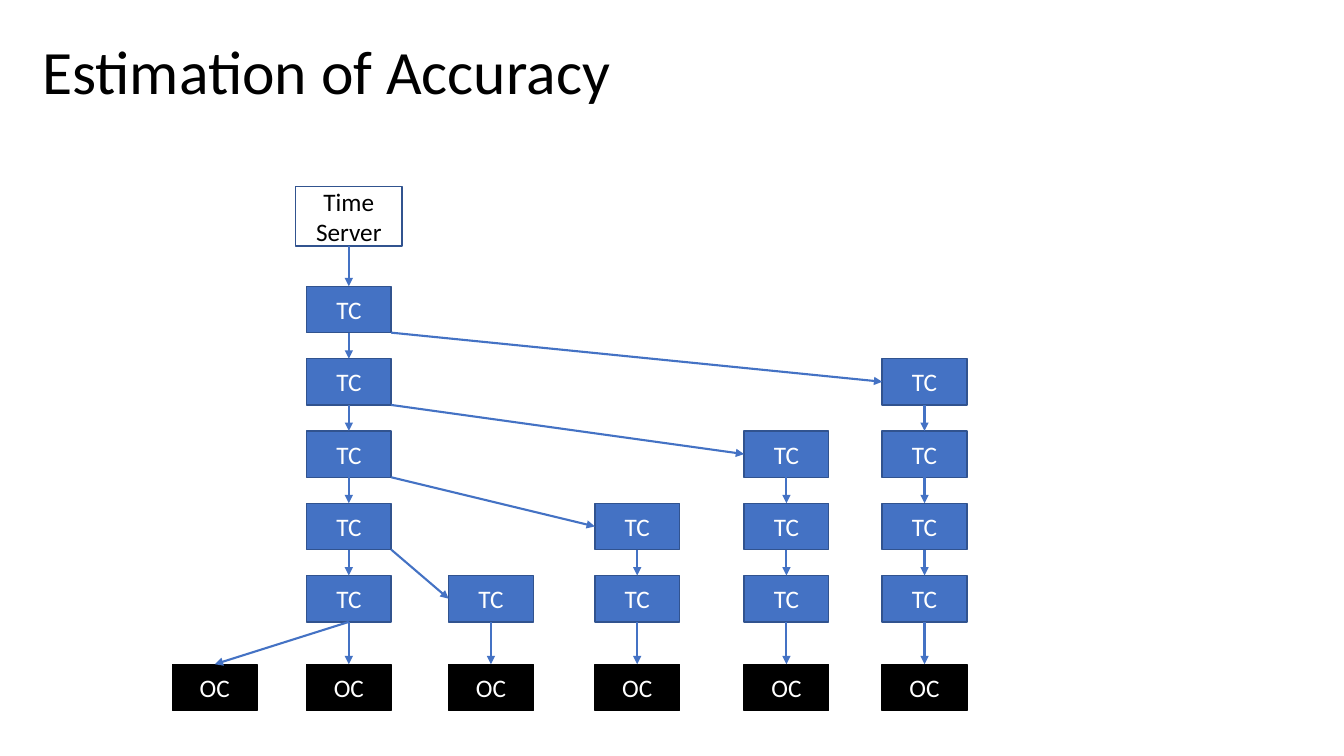
from dataclasses import dataclass
from typing import Optional

import pptx
import pptx.dml.color
import pptx.enum.shapes
import pptx.enum.text
import pptx.oxml
import pptx.oxml.ns
import pptx.util

Inches = pptx.util.Inches
Pt = pptx.util.Pt
RGBColor = pptx.dml.color.RGBColor

BLACK = RGBColor(0x00, 0x00, 0x00)
WHITE = RGBColor(0xFF, 0xFF, 0xFF)
BLUE = RGBColor(0x44, 0x72, 0xC4)
DARK_BLUE = RGBColor(0x31, 0x53, 0x8F)

# Clock grid: five rows of TC boxes above one row of OC boxes
CLOCK_WIDTH, CLOCK_HEIGHT = 0.84, 0.46
FIRST_ROW_TOP, LAST_ROW_TOP, OC_TOP = 2.84, 5.71, 6.59
ROW_COUNT = 5
ROW_PITCH = (LAST_ROW_TOP - FIRST_ROW_TOP) / (ROW_COUNT - 1)
TOP, LEFT, BOTTOM = 0, 1, 2


@dataclass(frozen=True)
class BoxStyle:
    fill: Optional[RGBColor]
    line: RGBColor
    text: RGBColor


@dataclass(frozen=True)
class ClockChain:
    left: float
    first_row: int


SERVER_STYLE = BoxStyle(None, DARK_BLUE, BLACK)
TC_STYLE = BoxStyle(BLUE, DARK_BLUE, WHITE)
OC_STYLE = BoxStyle(BLACK, BLACK, WHITE)

MAIN_CHAIN = ClockChain(3.04, 0)
BRANCH_CHAINS = [
    ClockChain(4.45, 4),
    ClockChain(5.9, 3),
    ClockChain(7.38, 2),
    ClockChain(8.75, 1),
]
EXTRA_OC_LEFT = 1.71


def set_attributes(target, values: dict) -> None:
    for name, value in values.items():
        setattr(target, name, value)


def write_text(shape, text: str, size: int, color: RGBColor, paragraph_format: dict) -> None:
    text_frame = shape.text_frame
    set_attributes(text_frame, {
        "word_wrap": True,
        "vertical_anchor": pptx.enum.text.MSO_ANCHOR.MIDDLE,
        "text": text,
    })
    paragraph = text_frame.paragraphs[0]
    set_attributes(paragraph, paragraph_format)
    set_attributes(paragraph.runs[0].font, {"name": "Calibri", "size": Pt(size)})
    paragraph.runs[0].font.color.rgb = color


def add_box(slide, text: str, left: float, top: float, style: BoxStyle,
            width: float = CLOCK_WIDTH, height: float = CLOCK_HEIGHT):
    shape = slide.shapes.add_shape(
        pptx.enum.shapes.MSO_SHAPE.RECTANGLE,
        Inches(left), Inches(top), Inches(width), Inches(height))
    shape.shadow.inherit = False
    if style.fill is None:
        shape.fill.background()
    else:
        shape.fill.solid()
        shape.fill.fore_color.rgb = style.fill
    shape.line.color.rgb = style.line
    shape.line.width = Pt(1)
    write_text(shape, text, 18, style.text,
               {"alignment": pptx.enum.text.PP_ALIGN.CENTER})
    return shape


def add_arrow(slide, start, end, end_site: int, from_corner: bool = False):
    """Join the bottom middle (or bottom right corner) of start to a side of end."""
    connector = slide.shapes.add_connector(
        pptx.enum.shapes.MSO_CONNECTOR.STRAIGHT,
        start.left + start.width, start.top + start.height, end.left, end.top)
    if not from_corner:
        connector.begin_connect(start, BOTTOM)
    connector.end_connect(end, end_site)
    connector.line.color.rgb = BLUE
    connector.line.width = Pt(1.5)
    line = connector.line._get_or_add_ln()
    arrowhead = pptx.oxml.parse_xml(
        f'<a:tailEnd {pptx.oxml.ns.nsdecls("a")} type="triangle"/>')
    line.append(arrowhead)
    line.addnext(pptx.oxml.parse_xml(f'<a:effectLst {pptx.oxml.ns.nsdecls("a")}/>'))


def add_chain(slide, chain: ClockChain) -> list:
    """Draw a column of TC boxes ending in an OC box, linked downwards."""
    boxes = [
        add_box(slide, "TC", chain.left, FIRST_ROW_TOP + row * ROW_PITCH, TC_STYLE)
        for row in range(chain.first_row, ROW_COUNT)
    ]
    boxes.append(add_box(slide, "OC", chain.left, OC_TOP, OC_STYLE))
    for upper, lower in zip(boxes, boxes[1:]):
        add_arrow(slide, upper, lower, TOP)
    return boxes


def main() -> None:
    presentation = pptx.Presentation()
    set_attributes(presentation, {
        "slide_width": Inches(13.33), "slide_height": Inches(7.5)})
    slide = presentation.slides.add_slide(presentation.slide_layouts[6])

    # Title
    title = slide.shapes.add_textbox(
        Inches(0.32), Inches(0.01), Inches(11.5), Inches(1.45))
    write_text(title, "Estimation of Accuracy", 44, BLACK, {"line_spacing": 0.9})

    # Time server and the main chain
    server = add_box(slide, "Time Server", 2.93, 1.85, SERVER_STYLE, 1.06, 0.59)
    main_boxes = add_chain(slide, MAIN_CHAIN)
    add_arrow(slide, server, main_boxes[0], TOP)

    # Extra OC below the last TC of the main chain
    extra_oc = add_box(slide, "OC", EXTRA_OC_LEFT, OC_TOP, OC_STYLE)
    add_arrow(slide, main_boxes[ROW_COUNT - 1], extra_oc, TOP)

    # Branches, each fed by the main TC one row above its first TC
    for chain in BRANCH_CHAINS:
        branch_boxes = add_chain(slide, chain)
        add_arrow(slide, main_boxes[chain.first_row - 1], branch_boxes[0],
                  LEFT, from_corner=True)

    presentation.save("out.pptx")


if __name__ == "__main__":
    main()
